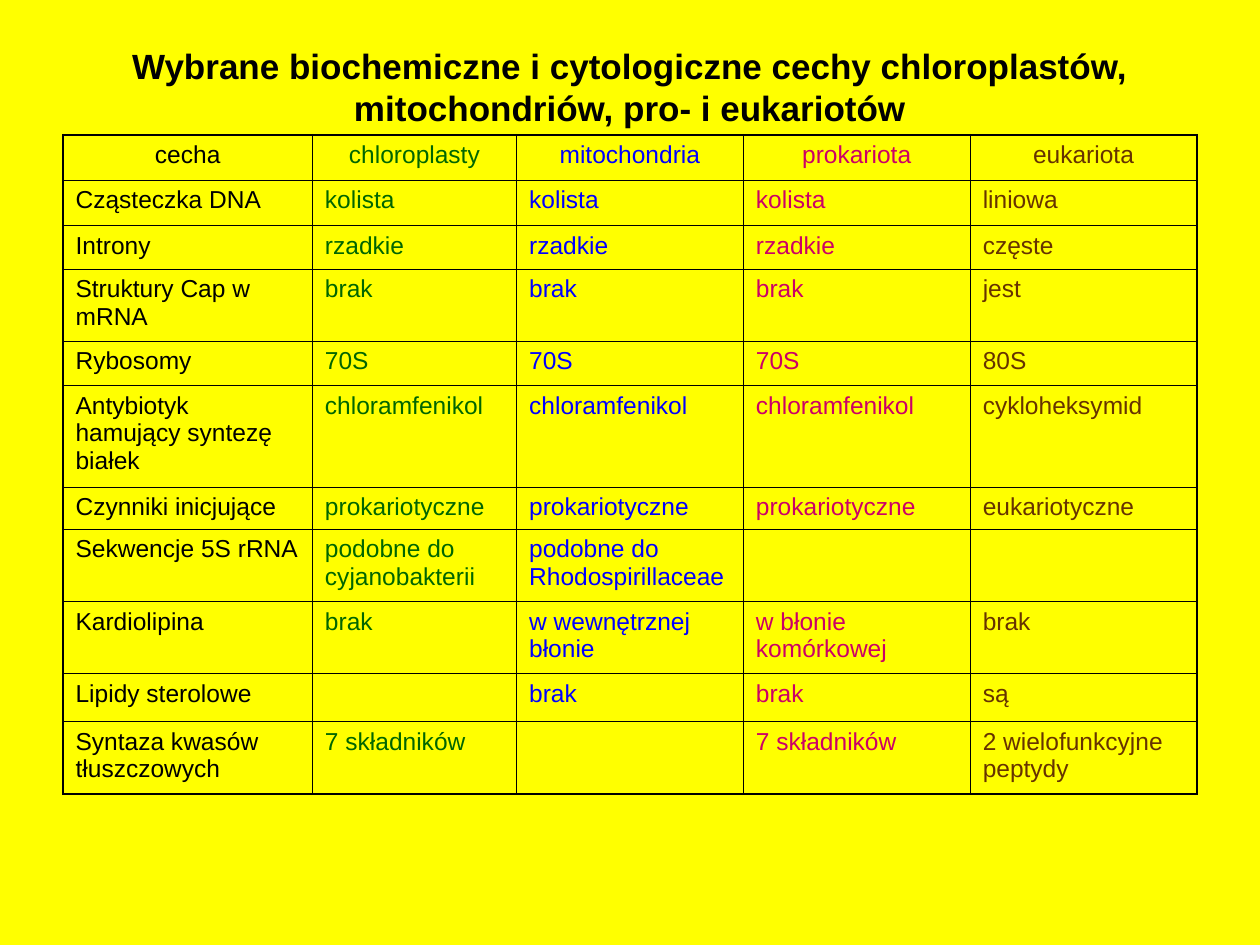
from lxml.etree import SubElement
from pptx import Presentation
from pptx.dml.color import RGBColor
from pptx.enum.text import MSO_ANCHOR, MSO_AUTO_SIZE, PP_ALIGN
from pptx.oxml.ns import qn
from pptx.util import Pt

FONT = "Arial"
YELLOW = RGBColor(0xFF, 0xFF, 0x00)
BLACK = RGBColor(0x00, 0x00, 0x00)
GREEN = RGBColor(0x00, 0x66, 0x00)
BLUE = RGBColor(0x00, 0x00, 0xFF)
CRIMSON = RGBColor(0xCC, 0x00, 0x66)
BROWN = RGBColor(0x66, 0x33, 0x00)

THIN, THICK = 0.45, 1.08
COLUMN_COLORS = [BLACK, GREEN, BLUE, CRIMSON, BROWN]
COLUMN_WIDTHS = [142.5, 116.7, 129.6, 129.6, 129.6]
ROW_HEIGHTS = [26, 26, 25, 41, 25.5, 58, 24, 41.5, 41, 27.5, 41.5]

TITLE = ("Wybrane biochemiczne i cytologiczne cechy chloroplastów, "
         "mitochondriów, pro- i eukariotów")
ROWS = [
    ["cecha", "chloroplasty", "mitochondria", "prokariota", "eukariota"],
    ["Cząsteczka DNA", "kolista", "kolista", "kolista", "liniowa"],
    ["Introny", "rzadkie", "rzadkie", "rzadkie", "częste"],
    ["Struktury Cap w mRNA", "brak", "brak", "brak", "jest"],
    ["Rybosomy", "70S", "70S", "70S", "80S"],
    ["Antybiotyk hamujący syntezę białek", "chloramfenikol",
     "chloramfenikol", "chloramfenikol", "cykloheksymid"],
    ["Czynniki inicjujące", "prokariotyczne", "prokariotyczne",
     "prokariotyczne", "eukariotyczne"],
    ["Sekwencje 5S rRNA", "podobne do cyjanobakterii",
     "podobne do Rhodospirillaceae", "", ""],
    ["Kardiolipina", "brak", "w wewnętrznej błonie",
     "w błonie komórkowej", "brak"],
    ["Lipidy sterolowe", "", "brak", "brak", "są"],
    ["Syntaza kwasów tłuszczowych", "7 składników", "", "7 składników",
     "2 wielofunkcyjne peptydy"],
]


def format_paragraph(p, size, color, bold=False, align=PP_ALIGN.LEFT):
    p.alignment = align
    p.font.name = FONT
    p.font.size = Pt(size)
    p.font.bold = bold
    p.font.color.rgb = color


def set_borders(cell, widths):
    """Draw black cell borders; widths are left, right, top, bottom."""
    tcPr = cell._tc.get_or_add_tcPr()
    for i, (side, width) in enumerate(zip("LRTB", widths)):
        ln = SubElement(tcPr, qn(f"a:ln{side}"), w=str(int(Pt(width))))
        fill = SubElement(ln, qn("a:solidFill"))
        SubElement(fill, qn("a:srgbClr"), val=str(BLACK))
        tcPr.insert(i, ln)  # lines come before the cell fill


def add_title(s):
    title = s.shapes.title
    title.left, title.top = Pt(36), Pt(21.6)
    title.width, title.height = Pt(648), Pt(55.4)
    tf = title.text_frame
    tf.text = TITLE
    tf.word_wrap = True
    tf.auto_size = MSO_AUTO_SIZE.NONE
    tf.vertical_anchor = MSO_ANCHOR.MIDDLE
    format_paragraph(tf.paragraphs[0], 20, BLACK, True, PP_ALIGN.CENTER)


def add_comparison_table(s):
    n_rows, n_cols = len(ROWS), len(COLUMN_WIDTHS)
    table = s.shapes.add_table(
        n_rows, n_cols, Pt(36), Pt(77),
        Pt(sum(COLUMN_WIDTHS)), Pt(sum(ROW_HEIGHTS))).table
    table.first_row = table.horz_banding = False

    for column, width in zip(table.columns, COLUMN_WIDTHS):
        column.width = Pt(width)
    for row, height in zip(table.rows, ROW_HEIGHTS):
        row.height = Pt(height)

    for r, texts in enumerate(ROWS):
        for c, text in enumerate(texts):
            cell = table.cell(r, c)
            cell.fill.background()
            # Thick lines only on the outer frame
            outer = (c == 0, c == n_cols - 1, r == 0, r == n_rows - 1)
            set_borders(cell, [THICK if edge else THIN for edge in outer])
            cell.text = text
            format_paragraph(
                cell.text_frame.paragraphs[0], 14, COLUMN_COLORS[c],
                align=PP_ALIGN.CENTER if r == 0 else PP_ALIGN.LEFT)


def main():
    prs = Presentation()
    prs.slide_width, prs.slide_height = Pt(720), Pt(540)
    s = prs.slides.add_slide(prs.slide_layouts[5])

    # Background
    s.background.fill.solid()
    s.background.fill.fore_color.rgb = YELLOW

    add_title(s)
    add_comparison_table(s)
    prs.save("out.pptx")


if __name__ == "__main__":
    main()
